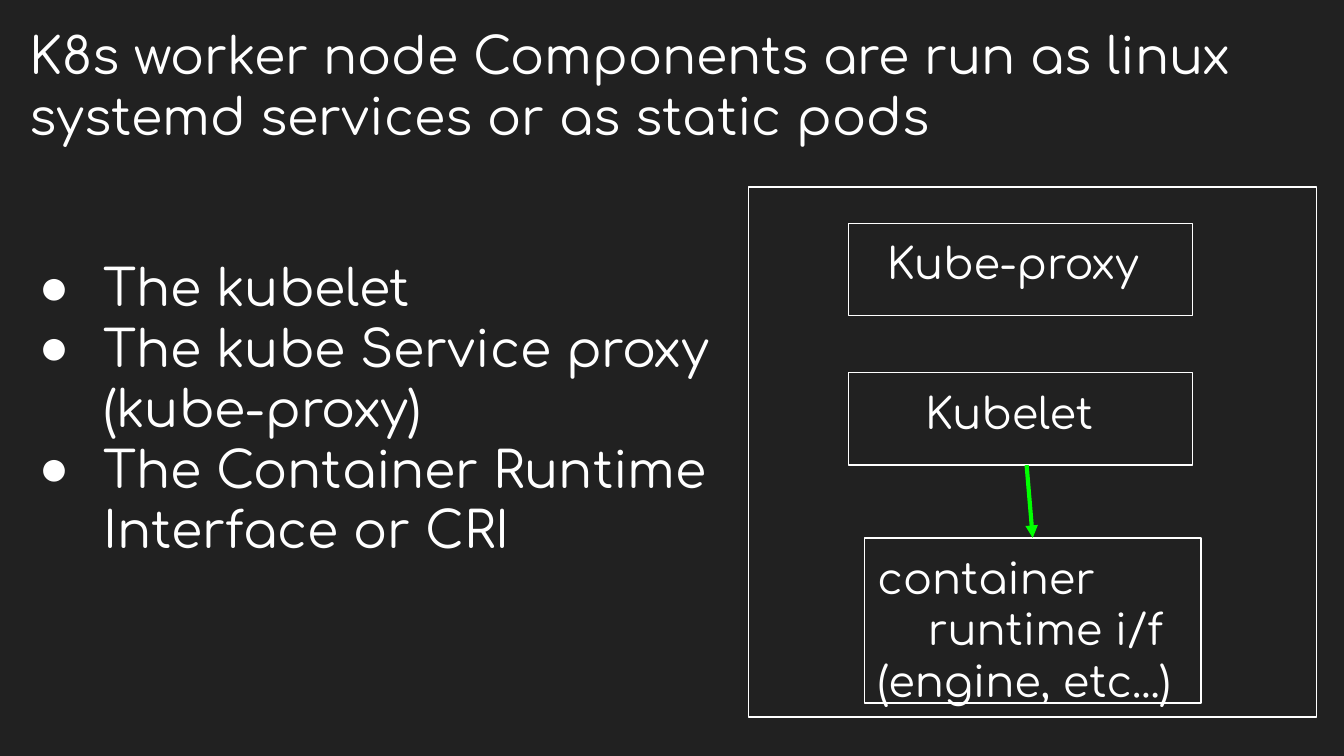
import pptx
import pptx.util
import pptx.dml.color
import pptx.enum.shapes
import pptx.enum.text
import pptx.oxml
import pptx.oxml.ns

Pt = pptx.util.Pt
COLORS = {"background": "212121", "text": "FFFFFF", "outline": "FFFFFF", "arrow": "00FF00"}
FONT = "Comfortaa"
BULLET_FONT = "Arial"


def rgb(name):
    return pptx.dml.color.RGBColor.from_string(COLORS[name])


def add_xml(parent, tag, **attributes):
    child = pptx.oxml.parse_xml(f'<a:{tag} {pptx.oxml.ns.nsdecls("a")}/>')
    for key, value in attributes.items():
        child.set(key, value)
    parent.append(child)
    return child


def write(shape, lines, size, insets, indents=(0,), hanging=0, bullet=None):
    """Write one paragraph per line; the last indent serves all further lines."""
    frame = shape.text_frame
    frame.word_wrap = True
    frame.vertical_anchor = pptx.enum.text.MSO_ANCHOR.TOP
    frame.margin_left, frame.margin_top, frame.margin_right, frame.margin_bottom = map(Pt, insets)
    for index, line in enumerate(lines):
        paragraph = frame.add_paragraph() if index else frame.paragraphs[0]
        paragraph.text = line
        paragraph.alignment = pptx.enum.text.PP_ALIGN.LEFT
        properties = paragraph._p.get_or_add_pPr()
        properties.set("marL", str(Pt(indents[min(index, len(indents) - 1)])))
        properties.set("indent", str(Pt(-hanging)))
        if bullet:
            add_xml(add_xml(properties, "buClr"), "srgbClr", val=COLORS["text"])
            add_xml(properties, "buFont", typeface=BULLET_FONT)
            add_xml(properties, "buChar", char=bullet)
        paragraph.font.name = FONT
        paragraph.font.size = Pt(size)
        paragraph.font.color.rgb = rgb("text")


def add_title(slide, left, top, width, height):
    title = slide.shapes.add_textbox(Pt(left), Pt(top), Pt(width), Pt(height))
    write(title, ["K8s worker node Components are run as linux systemd services or as static pods"],
          size=27, insets=(0, 0.7, 0, 0), indents=(0.7,))


def add_component_list(slide, left, top, width, height):
    components = slide.shapes.add_textbox(Pt(left), Pt(top), Pt(width), Pt(height))
    write(components,
          ["The kubelet", "The kube Service proxy (kube-proxy)",
           "The Container Runtime Interface or CRI"],
          size=27, insets=(0, 37, 0, 0), indents=(37.5,), hanging=34.5, bullet="●")


def add_outline(slide, left, top, width, height):
    outline = slide.shapes.add_shape(pptx.enum.shapes.MSO_SHAPE.RECTANGLE,
                                     Pt(left), Pt(top), Pt(width), Pt(height))
    outline.shadow.inherit = False
    outline.fill.background()
    outline.line.color.rgb = rgb("outline")
    outline.line.width = Pt(0.75)
    return outline


def add_node_diagram(slide, left, top, width, height):
    add_outline(slide, left, top, width, height)

    # Components inside the worker node: x, y, width, height, lines, indents
    parts = [
        (53.5, 99.5, 184.5, 49.5, ["Kubelet"], (34,)),
        (62, 188, 180.5, 88.5, ["container", "runtime i/f", "(engine, etc...)"], (0, 27, 0)),
        (53.5, 19.5, 184.5, 49.5, ["Kube-proxy"], (13.5,)),
    ]
    boxes = []
    for x, y, box_width, box_height, lines, indents in parts:
        box = add_outline(slide, left + x, top + y, box_width, box_height)
        write(box, lines, size=23, insets=(7.2,) * 4, indents=indents)
        boxes.append(box)
    kubelet, runtime, _ = boxes

    # Arrow from the kubelet to the container runtime
    call = slide.shapes.add_connector(
        pptx.enum.shapes.MSO_CONNECTOR.STRAIGHT,
        Pt(left + 149), kubelet.top + kubelet.height,
        runtime.left + runtime.width // 2, runtime.top)
    call.end_connect(runtime, 0)
    call.line.color.rgb = rgb("arrow")
    call.line.width = Pt(2.25)
    add_xml(call.line._get_or_add_ln(), "tailEnd", type="triangle")
    add_xml(call._element.spPr, "effectLst")


def main():
    deck = pptx.Presentation()
    deck.slide_width, deck.slide_height = Pt(720), Pt(405)
    slide = deck.slides.add_slide(deck.slide_layouts[6])
    slide.background.fill.solid()
    slide.background.fill.fore_color.rgb = rgb("background")

    add_title(slide, 15, 12.3, 680, 45.5)
    add_component_list(slide, 17.8, 100.3, 389.5, 267)
    add_node_diagram(slide, 401, 100.2, 304.5, 284)
    deck.save("out.pptx")


if __name__ == "__main__":
    main()
